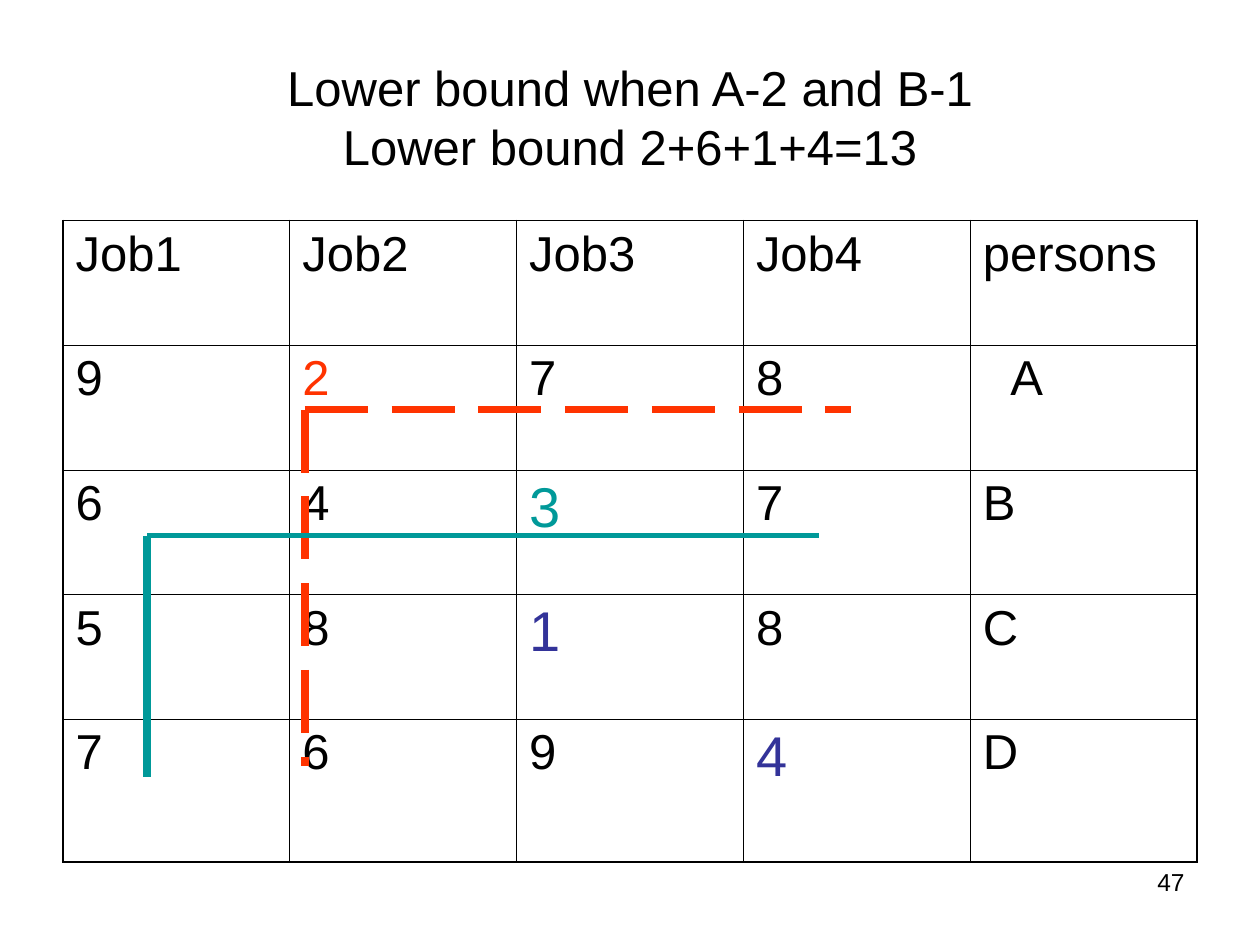
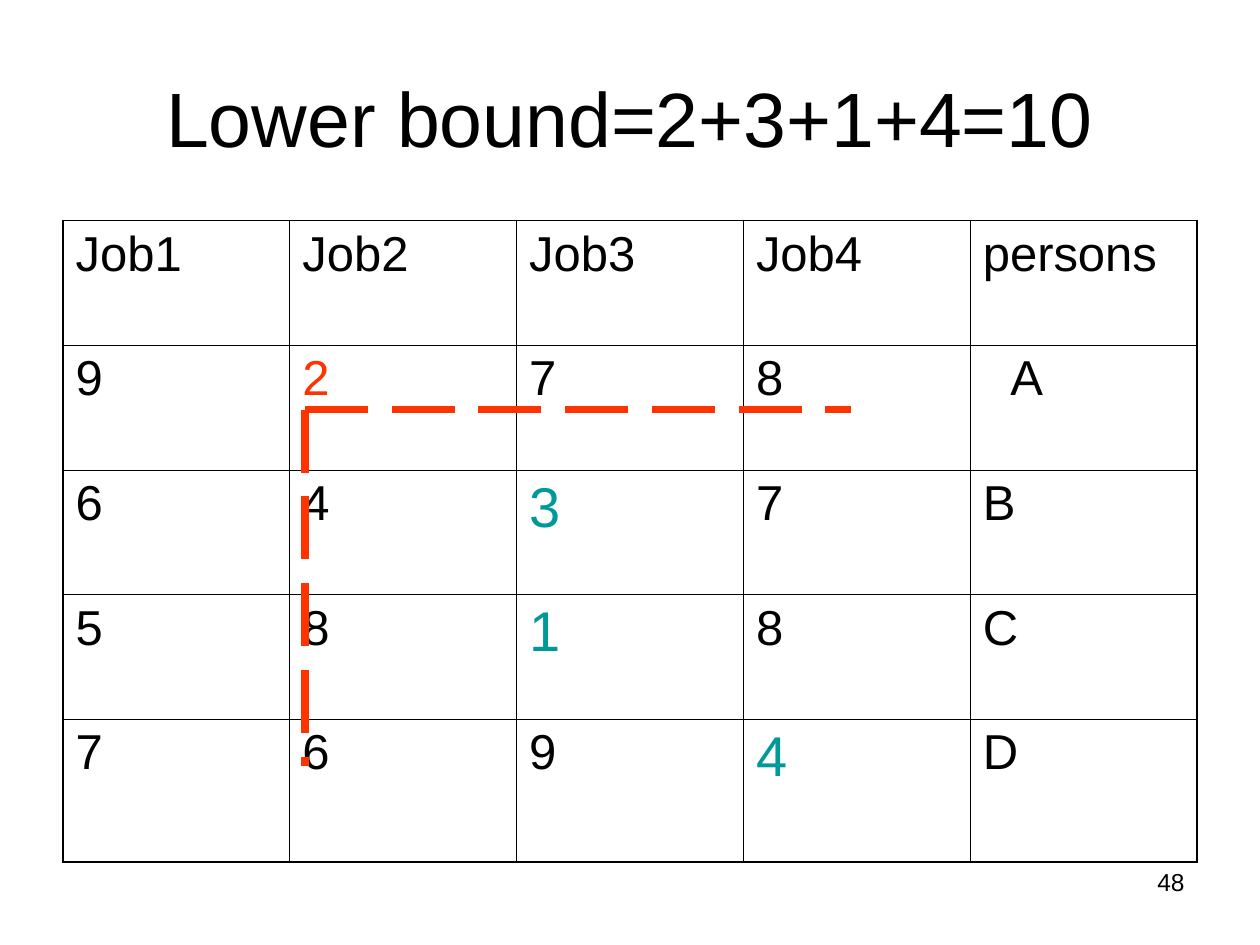
"""Build two branch-and-bound slides for the job assignment problem."""
from dataclasses import dataclass

from lxml import etree
from pptx import Presentation
from pptx.dml.color import RGBColor
from pptx.enum.dml import MSO_LINE
from pptx.enum.shapes import MSO_CONNECTOR
from pptx.enum.text import MSO_ANCHOR, PP_ALIGN
from pptx.oxml.ns import qn
from pptx.util import Inches, Pt

STRAIGHT = MSO_CONNECTOR.STRAIGHT
LONG_DASH = MSO_LINE.LONG_DASH
TOP, MIDDLE = MSO_ANCHOR.TOP, MSO_ANCHOR.MIDDLE
CENTER, RIGHT = PP_ALIGN.CENTER, PP_ALIGN.RIGHT

BLACK = RGBColor(0x00, 0x00, 0x00)
RED = RGBColor(0xFF, 0x33, 0x00)
TEAL = RGBColor(0x00, 0x99, 0x99)
INDIGO = RGBColor(0x33, 0x33, 0x99)

FONT = "Arial"
CELL_SIZE, PICK_SIZE = 28, 32
INNER_BORDER, OUTER_BORDER = 0.45, 1.08
PERSON_INDENT = 0.32
COL_WIDTH = 1.8
ROW_HEIGHTS = (0.99, 0.99, 0.99, 0.99, 1.13)
COSTS = (
    ("Job1", "Job2", "Job3", "Job4", "persons"),
    ("9", "2", "7", "8", "A"),
    ("6", "4", "3", "7", "B"),
    ("5", "8", "1", "8", "C"),
    ("7", "6", "9", "4", "D"),
)


@dataclass(frozen=True)
class Box:
    """A rectangle in inches."""
    left: float
    top: float
    width: float
    height: float


@dataclass(frozen=True)
class Strike:
    """A row line and a column line that start at one corner."""
    left: float
    top: float
    right: float
    bottom: float
    color: RGBColor
    row_width: float
    dashed: bool


@dataclass(frozen=True)
class Pick:
    """An emphasised cost in the table."""
    row: int
    col: int
    color: RGBColor
    size: int = PICK_SIZE


@dataclass(frozen=True)
class BoundSlide:
    """The content that varies between slides."""
    number: int
    title: str
    title_size: int
    picks: tuple[Pick, ...]
    strikes: tuple[Strike, ...]


TITLE_BOX = Box(0.5, 0.3, 9, 1.25)
NUMBER_BOX = Box(7.17, 6.83, 2.33, 0.52)
TABLE_BOX = Box(0.5, 1.75, COL_WIDTH * len(COSTS[0]), sum(ROW_HEIGHTS))

A_TAKES_2 = Strike(2.42, 3.25, 6.75, 6.08, RED, 4.5, True)
B_TAKES_1 = Strike(1.17, 4.25, 6.5, 6.17, TEAL, 3, False)
A_PICK = Pick(1, 1, RED, CELL_SIZE)
B_PICK = Pick(2, 2, TEAL)

SLIDES = (
    BoundSlide(47, "Lower bound when A-2 and B-1\nLower bound 2+6+1+4=13", 28,
               (A_PICK, B_PICK, Pick(3, 2, INDIGO), Pick(4, 3, INDIGO)),
               (A_TAKES_2, B_TAKES_1)),
    BoundSlide(48, "Lower bound=2+3+1+4=10", 44,
               (A_PICK, B_PICK, Pick(3, 2, TEAL), Pick(4, 3, TEAL)),
               (A_TAKES_2,)),
)


def style_text(tf, size: int, color: RGBColor = BLACK, align=None) -> None:
    """Format every run of a text frame."""
    for p in tf.paragraphs:
        p.alignment = align
        for r in p.runs:
            r.font.name = FONT
            r.font.size = Pt(size)
            r.font.color.rgb = color


def add_text(slide, box: Box, text: str, size: int, align, anchor) -> None:
    """Add a wrapped text box."""
    sp = slide.shapes.add_textbox(Inches(box.left), Inches(box.top),
                                  Inches(box.width), Inches(box.height))
    tf = sp.text_frame
    tf.word_wrap = True
    tf.vertical_anchor = anchor
    tf.text = text
    style_text(tf, size, align=align)


def set_borders(cell, row: int, col: int) -> None:
    """Draw thin inner borders and thicker outer ones."""
    last_row, last_col = len(COSTS) - 1, len(COSTS[0]) - 1
    outer_sides = {"a:lnL": col == 0, "a:lnR": col == last_col,
                   "a:lnT": row == 0, "a:lnB": row == last_row}
    tc_pr = cell._tc.get_or_add_tcPr()
    for i, (tag, outer) in enumerate(outer_sides.items()):
        ln = etree.Element(qn(tag), w=str(Pt(OUTER_BORDER if outer else INNER_BORDER)))
        fill = etree.SubElement(ln, qn("a:solidFill"))
        etree.SubElement(fill, qn("a:srgbClr"), val=str(BLACK))
        tc_pr.insert(i, ln)


def add_cost_table(slide, picks: tuple[Pick, ...]) -> None:
    """Add the cost matrix with its emphasised values."""
    frame = slide.shapes.add_table(
        len(COSTS), len(COSTS[0]), Inches(TABLE_BOX.left), Inches(TABLE_BOX.top),
        Inches(TABLE_BOX.width), Inches(TABLE_BOX.height))
    table = frame.table
    table.first_row = table.horz_banding = False
    for column in table.columns:
        column.width = Inches(COL_WIDTH)
    pick_at = {(pick.row, pick.col): pick for pick in picks}
    for row, values in enumerate(COSTS):
        table.rows[row].height = Inches(ROW_HEIGHTS[row])
        for col, value in enumerate(values):
            cell = table.cell(row, col)
            cell.text = value
            cell.fill.background()
            set_borders(cell, row, col)
            pick = pick_at.get((row, col), Pick(row, col, BLACK, CELL_SIZE))
            style_text(cell.text_frame, pick.size, pick.color)
    table.cell(1, 4).margin_left = Inches(PERSON_INDENT)


def add_strike(slide, strike: Strike) -> None:
    """Cross out one row and one column."""
    for right, bottom, width in ((strike.right, strike.top, strike.row_width),
                                 (strike.left, strike.bottom, 4.5)):
        line = slide.shapes.add_connector(
            STRAIGHT, Inches(strike.left), Inches(strike.top),
            Inches(right), Inches(bottom))
        line.line.color.rgb = strike.color
        line.line.width = Pt(width)
        if strike.dashed:
            line.line.dash_style = LONG_DASH
        etree.SubElement(line._element.spPr, qn("a:effectLst"))


def main() -> None:
    """Build and save the slides."""
    prs = Presentation()
    prs.slide_width, prs.slide_height = Inches(10), Inches(7.5)
    for content in SLIDES:
        slide = prs.slides.add_slide(prs.slide_layouts[6])
        add_text(slide, NUMBER_BOX, str(content.number), 14, RIGHT, TOP)
        add_text(slide, TITLE_BOX, content.title, content.title_size, CENTER, MIDDLE)
        add_cost_table(slide, content.picks)
        for strike in content.strikes:
            add_strike(slide, strike)
    prs.save("out.pptx")


if __name__ == "__main__":
    main()
